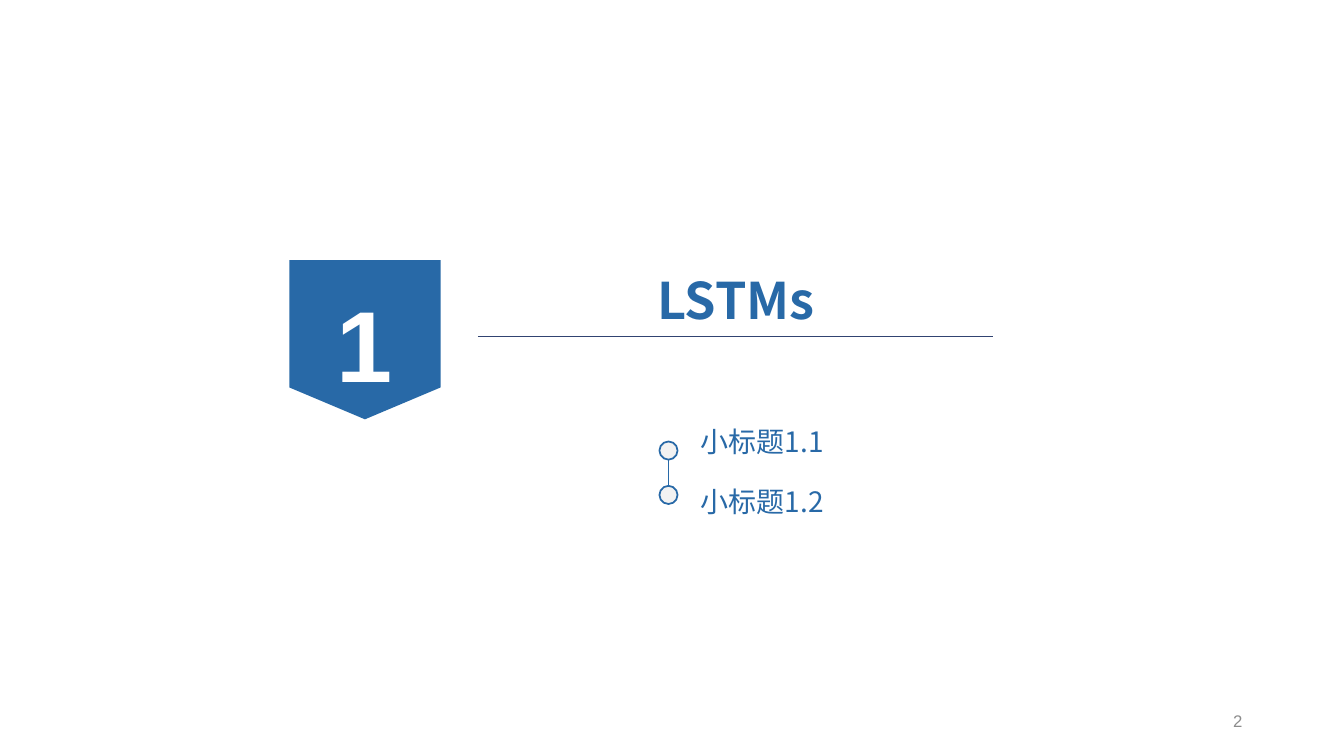
from pptx import Presentation
from pptx.dml.color import RGBColor
from pptx.enum.shapes import MSO_CONNECTOR, MSO_SHAPE
from pptx.enum.text import MSO_ANCHOR as ANCHOR, PP_ALIGN as ALIGN
from pptx.oxml.ns import qn
from pptx.util import Inches, Pt
from lxml.etree import SubElement

BLUE = "2869A7"
CJK = "Noto Sans CJK SC"


def color(value):
    return RGBColor.from_string(value)


def put_text(shape, text, size, font=CJK, fill=BLUE, bold=False, align=ALIGN.LEFT,
             anchor=ANCHOR.TOP, spacing=None, inset=(0.1, 0.05)):
    tf = shape.text_frame
    tf.word_wrap = True
    tf.vertical_anchor = anchor
    tf.margin_left = tf.margin_right = Inches(inset[0])
    tf.margin_top = tf.margin_bottom = Inches(inset[1])
    p = tf.paragraphs[0]
    p.alignment = align
    p.line_spacing = spacing
    r = p.add_run()
    r.text = text
    r.font.size, r.font.bold, r.font.name = Pt(size), bold, font
    r.font.color.rgb = color(fill)
    SubElement(r.font._element, qn("a:ea")).set("typeface", font)


prs = Presentation()
prs.slide_width, prs.slide_height = Inches(13.33), Inches(7.5)
s = prs.slides.add_slide(prs.slide_layouts[6])

# Section number badge
badge = s.shapes.add_shape(MSO_SHAPE.FLOWCHART_OFFPAGE_CONNECTOR,
                           Inches(2.87), Inches(2.58), Inches(1.5), Inches(1.58))
badge.shadow.inherit = False
badge.fill.solid()
badge.fill.fore_color.rgb = color(BLUE)
badge.line.fill.background()
put_text(badge, "1", 72, font="Arial", fill="FFFFFF", bold=True,
         align=ALIGN.CENTER, anchor=ANCHOR.MIDDLE, spacing=1.3)

# Title rule and the line between the bullets
for x1, y1, x2, y2, line_color, width in [(4.74, 3.34, 9.85, 3.34, "314371", 1),
                                          (6.63, 4.51, 6.63, 5, BLUE, 1.25)]:
    line = s.shapes.add_connector(MSO_CONNECTOR.STRAIGHT, Inches(x1), Inches(y1),
                                  Inches(x2), Inches(y2))
    line.line.color.rgb = color(line_color)
    line.line.width = Pt(width)
    SubElement(line._element.spPr, qn("a:effectLst"))

# Title
title = s.shapes.add_textbox(Inches(4.95), Inches(2.62), Inches(4.7), Inches(0.71))
put_text(title, "LSTMs", 36, bold=True, align=ALIGN.CENTER)

# Subtitles with their round bullets
for i, subtitle in enumerate(["小标题1.1", "小标题1.2"]):
    dot = s.shapes.add_shape(MSO_SHAPE.OVAL, Inches(6.54), Inches(4.38 + 0.44 * i),
                             Inches(0.18), Inches(0.18))
    dot.shadow.inherit = False
    dot.fill.solid()
    dot.fill.fore_color.rgb = color("F2F2F2")
    dot.line.color.rgb = color(BLUE)
    dot.line.width = Pt(1.25)
    box = s.shapes.add_textbox(Inches(6.82), Inches(4.14 + 0.6 * i),
                               Inches(2.85), Inches(0.47))
    put_text(box, subtitle, 20, inset=(0.13, 0.07))

# Slide number
number = s.shapes.add_textbox(Inches(9.42), Inches(6.95), Inches(3), Inches(0.4))
put_text(number, "2", 12, font="Arial", fill="8C8C8C", align=ALIGN.RIGHT,
         anchor=ANCHOR.MIDDLE)

prs.save("out.pptx")
